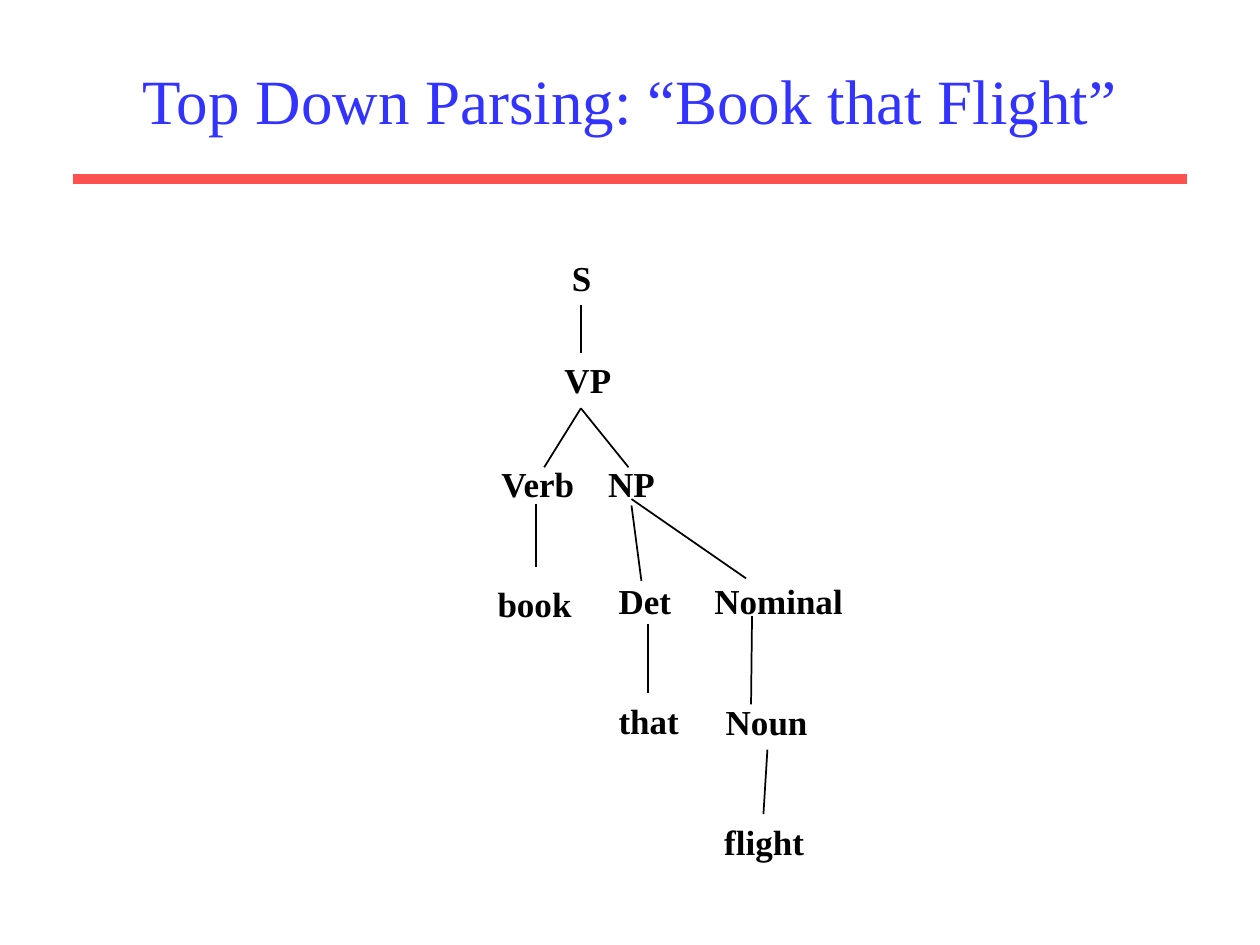
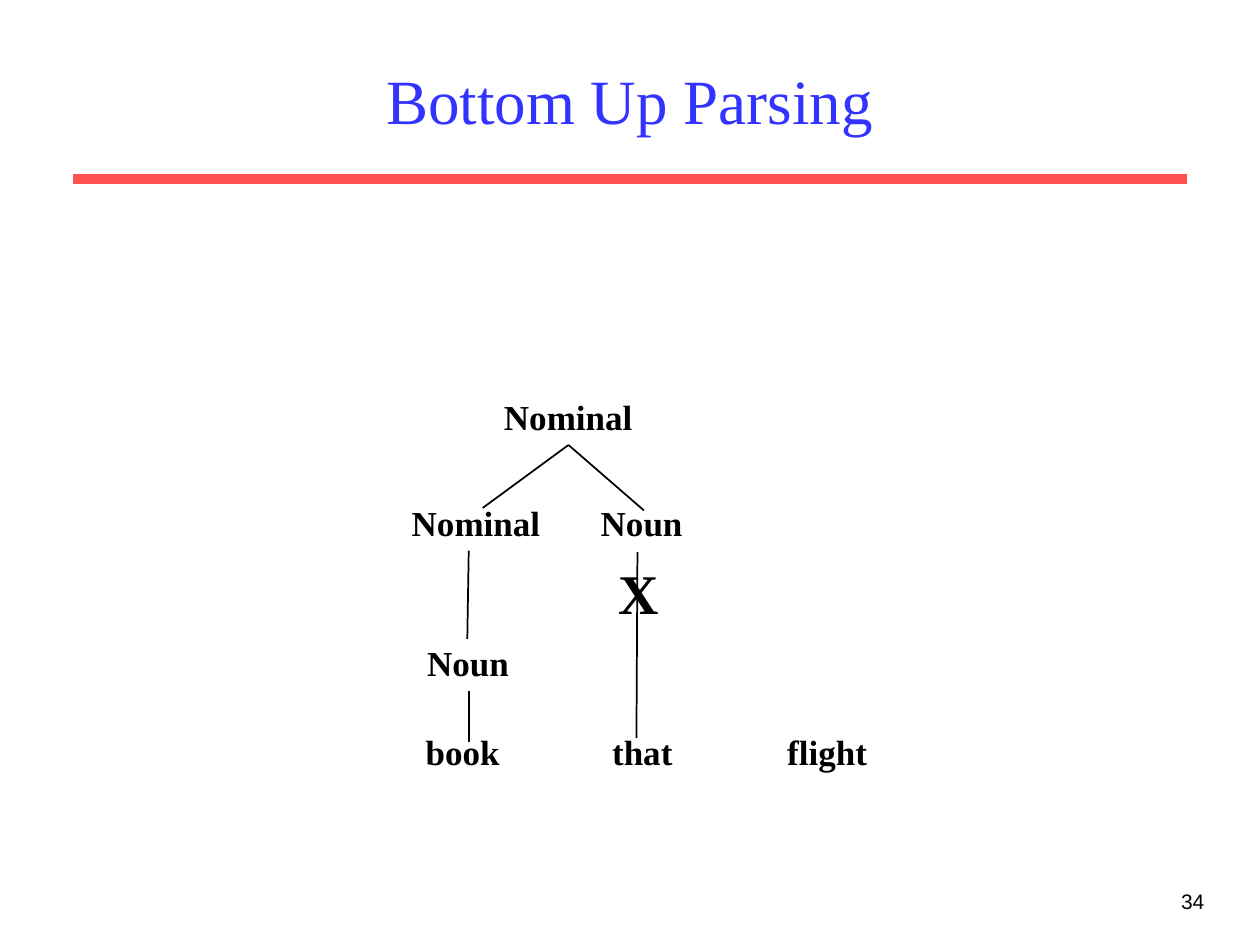
from pptx import Presentation
from pptx.dml.color import RGBColor
from pptx.enum.shapes import MSO_CONNECTOR
from pptx.enum.text import MSO_ANCHOR, PP_ALIGN
from pptx.oxml.ns import qn
from pptx.util import Cm, Pt
from lxml import etree

COLORS = {"title": "3333FF", "rule": "FF5050", "ink": "000000"}
SERIF, SANS = "Times New Roman", "Arial"

# Box width of each tree label, in cm
WIDTHS = {"S": 0.89, "VP": 1.45, "Verb": 1.98, "NP": 1.45, "book": 2.01,
          "Det": 1.57, "Nominal": 3.1, "that": 1.73, "Noun": 2.16,
          "flight": 2.11, "X": 1.32}

# Labels: text, left, top, size; branches: x1, y1, x2, y2 (cm)
SLIDES = [
    {
        "title": "Top Down Parsing: “Book that Flight”",
        "number": None,
        "labels": [
            ("S", 11.28, 5.05, 20),
            ("VP", 11.13, 7.11, 20),
            ("Verb", 9.86, 9.19, 20),
            ("NP", 12.01, 9.19, 20),
            ("book", 9.78, 11.61, 20),
            ("Det", 12.22, 11.56, 20),
            ("Nominal", 14.15, 11.56, 20),
            ("that", 12.22, 13.97, 20),
            ("Noun", 14.38, 14, 20),
            ("flight", 14.35, 16.41, 20),
        ],
        "branches": [
            (11.71, 6.15, 11.71, 7.11),
            (11.71, 8.23, 10.97, 9.42),
            (11.71, 8.23, 12.67, 9.42),
            (10.8, 10.16, 10.8, 11.43),
            (12.73, 10.19, 12.93, 11.71),
            (12.73, 10.06, 15.04, 11.66),
            (13.06, 12.57, 13.06, 13.97),
            (15.16, 12.42, 15.14, 14.2),
            (15.47, 15.11, 15.39, 16.41),
        ],
    },
    {
        "title": "Bottom Up Parsing",
        "number": "34",
        "labels": [
            ("Nominal", 9.91, 7.85, 20),
            ("Nominal", 8.05, 9.98, 20),
            ("Noun", 11.86, 9.98, 20),
            ("X", 12.22, 11.13, 32),
            ("Noun", 8.36, 12.8, 20),
            ("book", 8.33, 14.61, 20),
            ("that", 12.09, 14.61, 20),
            ("flight", 15.62, 14.61, 20),
        ],
        "branches": [
            (11.46, 8.97, 9.73, 10.24),
            (11.46, 8.97, 12.98, 10.29),
            (9.45, 11.1, 9.42, 12.88),
            (9.45, 13.92, 9.45, 14.96),
            (12.85, 11.13, 12.83, 14.88),
        ],
    },
]


def add_text(s, text, box, size, color="ink", font=SERIF, bold=False,
             align=PP_ALIGN.LEFT, anchor=MSO_ANCHOR.TOP, wrap=True):
    tf = s.shapes.add_textbox(*[Cm(v) for v in box]).text_frame
    tf.word_wrap = wrap
    tf.vertical_anchor = anchor
    p = tf.paragraphs[0]
    p.text = text
    p.alignment = align
    r = p.runs[0]
    r.font.name = font
    r.font.size = Pt(size)
    r.font.bold = bold
    r.font.color.rgb = RGBColor.from_string(COLORS[color])


def add_line(s, ends, color="ink", width=1):
    line = s.shapes.add_connector(MSO_CONNECTOR.STRAIGHT, *[Cm(v) for v in ends])
    line.line.color.rgb = RGBColor.from_string(COLORS[color])
    line.line.width = Pt(width)
    etree.SubElement(line._element.spPr, qn("a:effectLst"))


prs = Presentation()
prs.slide_width, prs.slide_height = Cm(25.4), Cm(19.05)

for content in SLIDES:
    s = prs.slides.add_slide(prs.slide_layouts[6])

    # Title and rule
    add_line(s, (1.47, 3.61, 23.93, 3.61), "rule", 6)
    add_text(s, content["title"], (1.9, 0.64, 21.59, 2.74), 36, "title",
             align=PP_ALIGN.CENTER, anchor=MSO_ANCHOR.MIDDLE)

    # Parse tree
    for text, left, top, size in content["labels"]:
        box = (left, top, WIDTHS[text], 1.12 if size == 20 else 1.63)
        add_text(s, text, box, size, bold=True, wrap=False)
    for ends in content["branches"]:
        add_line(s, ends)

    # Slide number
    if content["number"]:
        add_text(s, content["number"], (19.25, 17.78, 5.28, 1.27), 12,
                 font=SANS, align=PP_ALIGN.RIGHT)

prs.save("out.pptx")
